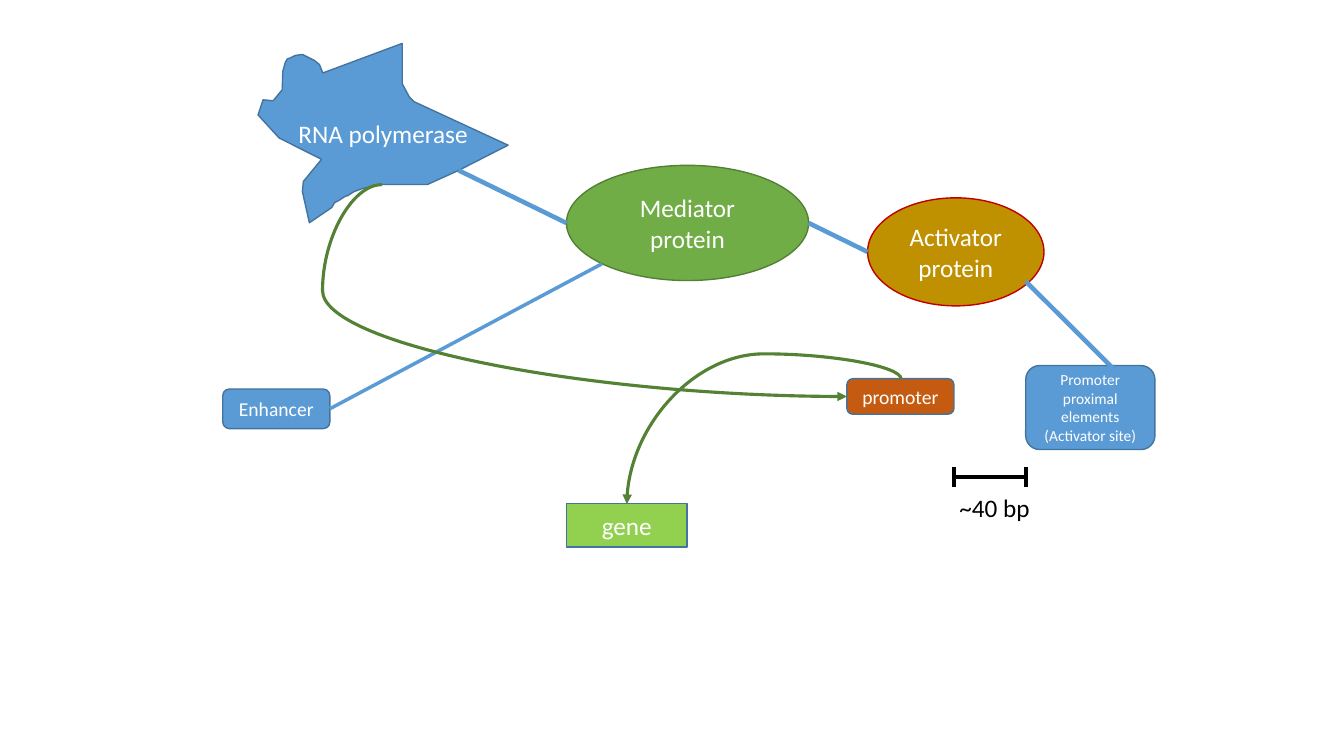
from dataclasses import dataclass

from lxml import etree
from pptx import Presentation
from pptx.dml.color import RGBColor
from pptx.enum.shapes import MSO_CONNECTOR, MSO_SHAPE
from pptx.enum.text import MSO_ANCHOR, PP_ALIGN
from pptx.oxml.ns import qn
from pptx.util import Pt

STRAIGHT, CURVE = MSO_CONNECTOR.STRAIGHT, MSO_CONNECTOR.CURVE
OVAL, BOX, ROUNDED = MSO_SHAPE.OVAL, MSO_SHAPE.RECTANGLE, MSO_SHAPE.ROUNDED_RECTANGLE
CENTER, LEFT = PP_ALIGN.CENTER, PP_ALIGN.LEFT
MIDDLE, TOP = MSO_ANCHOR.MIDDLE, MSO_ANCHOR.TOP
BLANK_LAYOUT = 6


@dataclass(frozen=True)
class Theme:
    font: str = "Calibri"
    white: str = "FFFFFF"
    black: str = "000000"
    blue: str = "5B9BD5"
    blue_edge: str = "43739E"
    green: str = "70AD47"
    green_edge: str = "538035"
    gold: str = "BF9000"
    red: str = "C00000"
    orange: str = "C55A11"
    lime: str = "92D050"
    arrow: str = "548235"
    large: float = 18
    medium: float = 14
    small: float = 11
    outline: float = 1
    link: float = 3.25
    thin_link: float = 2.5
    arrow_width: float = 2.25


THEME = Theme()

POLYMERASE_OUTLINE = [
    (233.3, 51.1), (287.3, 31), (287.3, 59.8), (292.3, 69.1), (295.9, 72.7),
    (362.9, 103.7), (327.6, 121.7), (305.3, 131.8), (272.9, 131.8),
    (259.2, 134.6), (253, 136.8), (248.4, 139.7), (246.2, 140.4),
    (241.9, 143.3), (239, 144.7), (236.9, 148.3), (221, 159.1), (216, 136.8),
    (216.7, 129.6), (229.7, 113.8), (199.4, 98.6), (184.3, 82.1),
    (187.9, 71.3), (195.1, 72), (201.6, 64.1), (202, 51), (203.8, 44.6),
    (205.2, 42.2), (208.1, 41), (211, 39.6), (216, 38.9), (224.6, 43.2),
    (228.2, 46.1), (230.6, 52.2),
]


def write_text(shape, text, size, color, align=CENTER, anchor=MIDDLE):
    frame = shape.text_frame
    frame.word_wrap = True
    frame.vertical_anchor = anchor
    paragraph = frame.paragraphs[0]
    paragraph.text = text
    paragraph.alignment = align
    paragraph.font.name = THEME.font
    paragraph.font.size = Pt(size)
    paragraph.font.color.rgb = RGBColor.from_string(color)


def style_node(shape, text, size, fill, edge):
    shape.shadow.inherit = False
    shape.fill.solid()
    shape.fill.fore_color.rgb = RGBColor.from_string(fill)
    shape.line.color.rgb = RGBColor.from_string(edge)
    shape.line.width = Pt(THEME.outline)
    write_text(shape, text, size, THEME.white)


def add_node(slide, kind, bounds, text, size, fill, edge=THEME.blue_edge):
    shape = slide.shapes.add_shape(kind, *map(Pt, bounds))
    style_node(shape, text, size, fill, edge)


def add_polymerase(slide):
    start, *others = [(Pt(x), Pt(y)) for x, y in POLYMERASE_OUTLINE]
    builder = slide.shapes.build_freeform(*start)
    builder.add_line_segments(others, close=True)
    shape = builder.convert_to_shape()
    style_node(shape, "RNA polymerase", THEME.large, THEME.blue, THEME.blue_edge)


def add_line(slide, start, end, color, width, kind=STRAIGHT):
    connector = slide.shapes.add_connector(kind, *map(Pt, (*start, *end)))
    connector.line.color.rgb = RGBColor.from_string(color)
    connector.line.width = Pt(width)
    etree.SubElement(connector._element.spPr, qn("a:effectLst"))
    return connector


def add_curved_arrow(slide, start, end, bend, rotation=0):
    connector = add_line(slide, start, end, THEME.arrow, THEME.arrow_width, CURVE)
    properties = connector._element.spPr
    properties.find(qn("a:xfrm")).set("rot", str(rotation * 60000))
    adjustments = properties.find(qn("a:prstGeom")).find(qn("a:avLst"))
    etree.SubElement(adjustments, qn("a:gd"), name="adj1", fmla=f"val {bend}")
    etree.SubElement(properties.find(qn("a:ln")), qn("a:tailEnd"), type="triangle")


def add_scale_bar(slide, left, right, middle, half_height):
    top, bottom = middle - half_height, middle + half_height
    for start, end in (
        ((left, top), (left, bottom)),
        ((left, middle), (right, middle)),
        ((right, top), (right, bottom)),
    ):
        add_line(slide, start, end, THEME.black, THEME.thin_link)
    label = slide.shapes.add_textbox(*map(Pt, (678.2, 347.8, 72.7, 28.8)))
    write_text(label, "~40 bp", THEME.large, THEME.black, LEFT, TOP)


def main():
    presentation = Presentation()
    presentation.slide_width, presentation.slide_height = Pt(960), Pt(540)
    slide = presentation.slides.add_slide(presentation.slide_layouts[BLANK_LAYOUT])

    add_node(slide, ROUNDED, (159.1, 277.9, 76.5, 28.3), "Enhancer", THEME.medium, THEME.blue)
    add_polymerase(slide)
    add_node(slide, OVAL, (404.6, 118.1, 173, 82.3), "Mediator protein",
             THEME.large, THEME.green, THEME.green_edge)
    add_node(slide, OVAL, (619.7, 141.3, 126, 77.2), "Activator protein",
             THEME.large, THEME.gold, THEME.red)
    add_node(slide, ROUNDED, (732.7, 261.1, 92.3, 60),
             "Promoter proximal elements (Activator site)", THEME.small, THEME.blue)
    add_node(slide, ROUNDED, (604.9, 270.5, 76.5, 25.4), "promoter", THEME.medium, THEME.orange)
    add_scale_bar(slide, 681.3, 732.7, 340.6, 7.2)
    add_node(slide, BOX, (404.6, 359.8, 86.2, 31), "gene", THEME.large, THEME.lime)

    for start, end, width in (
        ((577.6, 159.3), (619.7, 179.9), THEME.link),
        ((404.6, 159.3), (327.6, 121.7), THEME.link),
        ((732.7, 201), (805, 273), THEME.link),
        ((235.6, 292), (429.9, 188.5), THEME.thin_link),
    ):
        add_line(slide, start, end, THEME.blue, width)

    add_curved_arrow(slide, (272.9, 131.8), (604.9, 283.2), -12800)
    add_curved_arrow(slide, (590.4, 413.3), (501.1, 217.4), -20100, 270)

    presentation.save("out.pptx")


if __name__ == "__main__":
    main()
